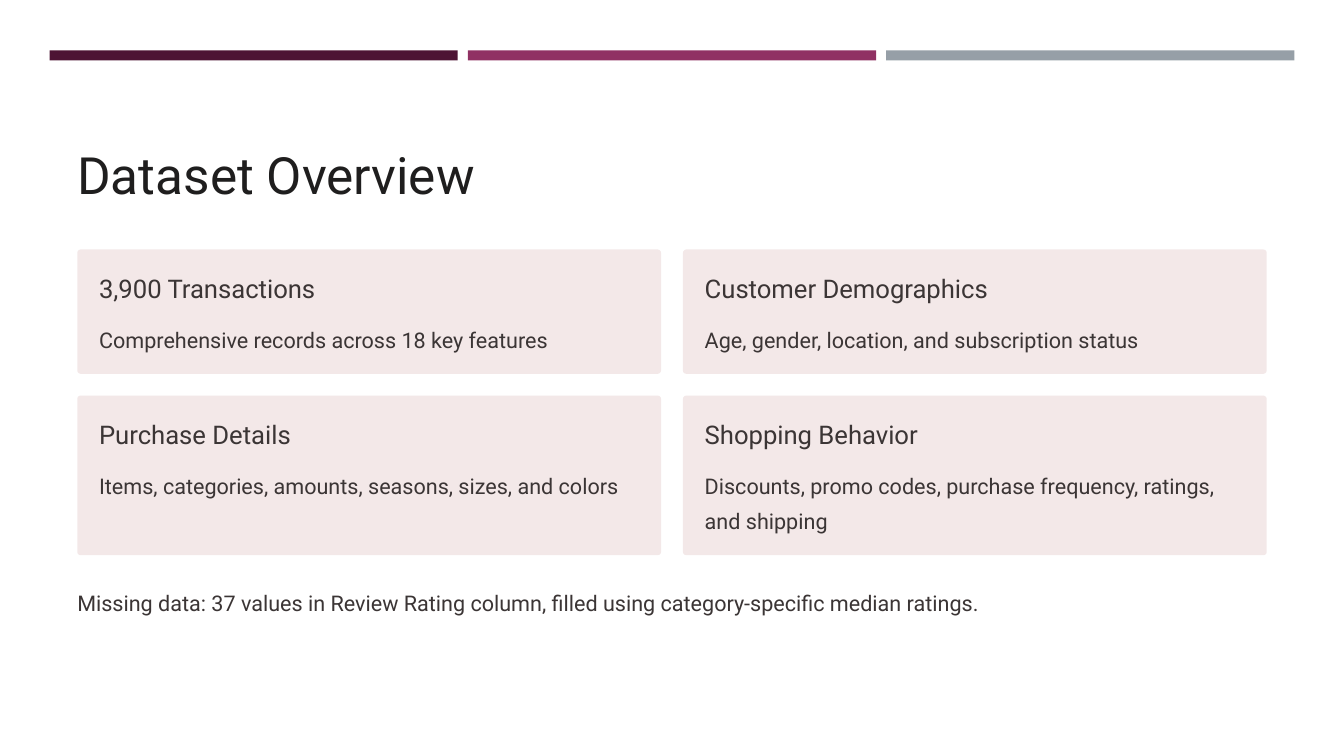
from pptx import Presentation
from pptx.dml.color import RGBColor
from pptx.enum.shapes import MSO_SHAPE
from pptx.enum.text import MSO_ANCHOR, MSO_AUTO_SIZE, PP_ALIGN
from pptx.util import Inches, Pt

INK = "3B3535"
CARD_FILL = "F3E8E8"
LEFT = 0.92
CARD_WIDTH = 6.95
GAP = 0.26
CORNER = 0.04
BARS = ["4D1434", "903163", "969FA7"]
CARD_ROWS = [
    (2.97, 1.48, [
        ("3,900 Transactions", "Comprehensive records across 18 key features"),
        ("Customer Demographics", "Age, gender, location, and subscription status"),
    ]),
    (4.71, 1.9, [
        ("Purchase Details", "Items, categories, amounts, seasons, sizes, and colors"),
        ("Shopping Behavior",
         "Discounts, promo codes, purchase frequency, ratings, and shipping"),
    ]),
]


def color(hex_code):
    return RGBColor.from_string(hex_code)


def write(frame, text, size=18.5, line=30, ink=INK, font="Roboto"):
    frame.margin_left = frame.margin_right = 0
    frame.margin_top = frame.margin_bottom = 0
    frame.word_wrap = True
    frame.auto_size = MSO_AUTO_SIZE.NONE
    frame.vertical_anchor = MSO_ANCHOR.TOP
    paragraph = frame.paragraphs[0]
    paragraph.alignment = PP_ALIGN.LEFT
    paragraph.line_spacing = Pt(line)
    run = paragraph.add_run()
    run.text = text
    run.font.name = font
    run.font.size = Pt(size)
    run.font.color.rgb = color(ink)


class OverviewSlide:
    def __init__(self, deck):
        self.slide = deck.slides.add_slide(deck.slide_layouts[5])

    def title(self, text, left, top, width, height):
        heading = self.slide.shapes.title
        heading.left, heading.top = Inches(left), Inches(top)
        heading.width, heading.height = Inches(width), Inches(height)
        write(heading.text_frame, text, size=44, line=55, ink="1F1E1E")

    def panel(self, left, top, width, height, fill, kind=MSO_SHAPE.RECTANGLE):
        panel = self.slide.shapes.add_shape(
            kind, Inches(left), Inches(top), Inches(width), Inches(height))
        panel.shadow.inherit = False
        panel.fill.solid()
        panel.fill.fore_color.rgb = color(fill)
        panel.line.fill.background()
        return panel

    def text(self, text, left, top, width, height, **style):
        box = self.slide.shapes.add_textbox(
            Inches(left), Inches(top), Inches(width), Inches(height))
        write(box.text_frame, text, **style)

    def card(self, heading, detail, left, top, height):
        card = self.panel(left, top, CARD_WIDTH, height, CARD_FILL,
                          MSO_SHAPE.ROUNDED_RECTANGLE)
        card.adjustments[0] = CORNER / height
        inner_width = CARD_WIDTH - 2 * GAP
        self.text(heading, left + GAP, top + GAP, inner_width, 0.38,
                  size=22, line=27.5)
        self.text(detail, left + GAP, top + 0.81, inner_width, height - 1.06)


def main():
    deck = Presentation()
    deck.slide_width, deck.slide_height = Inches(16), Inches(9)
    overview = OverviewSlide(deck)
    for index, fill in enumerate(BARS):
        overview.panel(0.59 + index * 4.98, 0.6, 4.86, 0.12, fill)
    overview.title("Dataset Overview", LEFT, 1.67, 6.16, 0.77)
    for top, height, cards in CARD_ROWS:
        for column, (heading, detail) in enumerate(cards):
            left = LEFT + column * (CARD_WIDTH + GAP)
            overview.card(heading, detail, left, top, height)
    overview.text(
        "Missing data: 37 values in Review Rating column, "
        "filled using category-specific median ratings.",
        LEFT, 6.91, 14.17, 0.42)
    deck.save("out.pptx")


if __name__ == "__main__":
    main()
